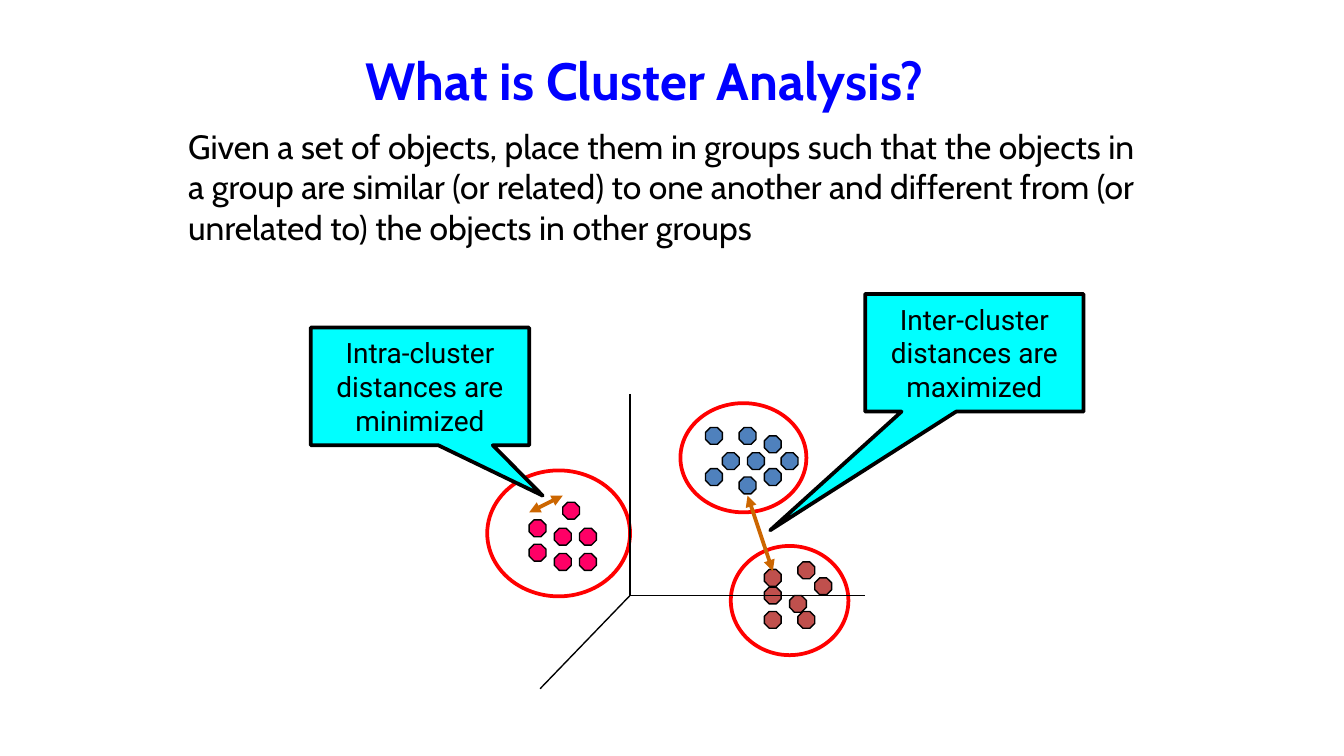
from lxml import etree
from pptx import Presentation
from pptx.dml.color import RGBColor
from pptx.enum.shapes import MSO_CONNECTOR as Conn, MSO_SHAPE as Kind
from pptx.enum.text import MSO_ANCHOR as Anchor, PP_ALIGN as Align
from pptx.oxml.ns import qn
from pptx.util import Pt

PX = 5715  # EMU per px, 160 px to the inch


def rgb(code):
    return RGBColor.from_string(code)


def draw(kind, box, fill, line, width):
    shape = slide.shapes.add_shape(kind, *[n * PX for n in box])
    shape.shadow.inherit = False
    if fill:
        shape.fill.solid()
        shape.fill.fore_color.rgb = rgb(fill)
    else:
        shape.fill.background()
    shape.line.color.rgb = rgb(line)
    shape.line.width = Pt(width)
    return shape


deck = Presentation()
deck.slide_width, deck.slide_height = 1600 * PX, 900 * PX
slide = deck.slides.add_slide(deck.slide_layouts[6])

# Title and definition
texts = [
    ((435, 58, 890, 78), "What is Cluster Analysis?", 28, "0000FF", True),
    ((224, 150, 1146, 170),
     "Given a set of objects, place them in groups such that the objects in "
     "a group are similar (or related) to one another and different from "
     "(or unrelated to) the objects in other groups", 18, "000000", False),
]
for box, words, size, color, bold in texts:
    frame = slide.shapes.add_textbox(*[n * PX for n in box]).text_frame
    frame.word_wrap = True
    frame.margin_left = frame.margin_right = 0
    frame.margin_top = frame.margin_bottom = 0
    frame.text = words
    font = frame.paragraphs[0].runs[0].font
    font.name, font.size, font.bold = "Cabin", Pt(size), bold
    font.color.rgb = rgb(color)

# Points of the three clusters
groups = {
    "4F81BD": [(860, 539), (890, 539), (880, 509), (880, 568), (930, 539),
               (910, 519), (840, 509), (910, 558), (840, 558)],
    "FF0066": [(630, 619), (660, 629), (660, 659), (690, 629), (670, 598),
               (690, 659), (630, 648)],
    "C0504D": [(910, 678), (970, 688), (940, 709), (910, 728), (950, 728),
               (910, 699), (950, 669)],
}
for color, spots in groups.items():
    for x, y in spots:
        dot = draw(Kind.OCTAGON, (x, y, 20, 20), color, "000000", 0.75)
        dot.adjustments[0] = 0.293

# Rings around the clusters
for box in [(580, 560, 170, 150), (810, 480, 150, 130), (870, 650, 140, 130)]:
    draw(Kind.OVAL, box, None, "FF0000", 2)

# Axes and distance arrows
lines = [
    ((750, 469, 750, 709), "000000", 0.75, False),
    ((750, 709, 1030, 709), "000000", 0.75, False),
    ((750, 709, 643, 820), "000000", 0.75, False),
    ((920, 680, 890, 590), "CC6600", 2, True),
    ((630, 610, 670, 590), "CC6600", 2, True),
]
for ends, color, width, heads in lines:
    link = slide.shapes.add_connector(Conn.STRAIGHT, *[n * PX for n in ends])
    link.line.color.rgb = rgb(color)
    link.line.width = Pt(width)
    props = link.element.spPr
    etree.SubElement(props, qn("a:effectLst"))
    if heads:
        for tag in ("a:headEnd", "a:tailEnd"):
            etree.SubElement(props.find(qn("a:ln")), qn(tag), type="triangle")

# Callouts
notes = [
    ((1030, 350), "Inter-cluster distances are maximized", (-0.935, 1.509)),
    ((370, 390), "Intra-cluster distances are minimized", (0.562, 0.929)),
]
for spot, words, tip in notes:
    note = draw(Kind.RECTANGULAR_CALLOUT, (*spot, 260, 140),
                "00FFFF", "000000", 2)
    note.adjustments[0], note.adjustments[1] = tip
    frame = note.text_frame
    frame.word_wrap = True
    frame.vertical_anchor = Anchor.MIDDLE
    frame.text = words
    para = frame.paragraphs[0]
    para.alignment = Align.CENTER
    font = para.runs[0].font
    font.name, font.size = "Roboto", Pt(15)
    font.color.rgb = rgb("000000")

deck.save("out.pptx")
